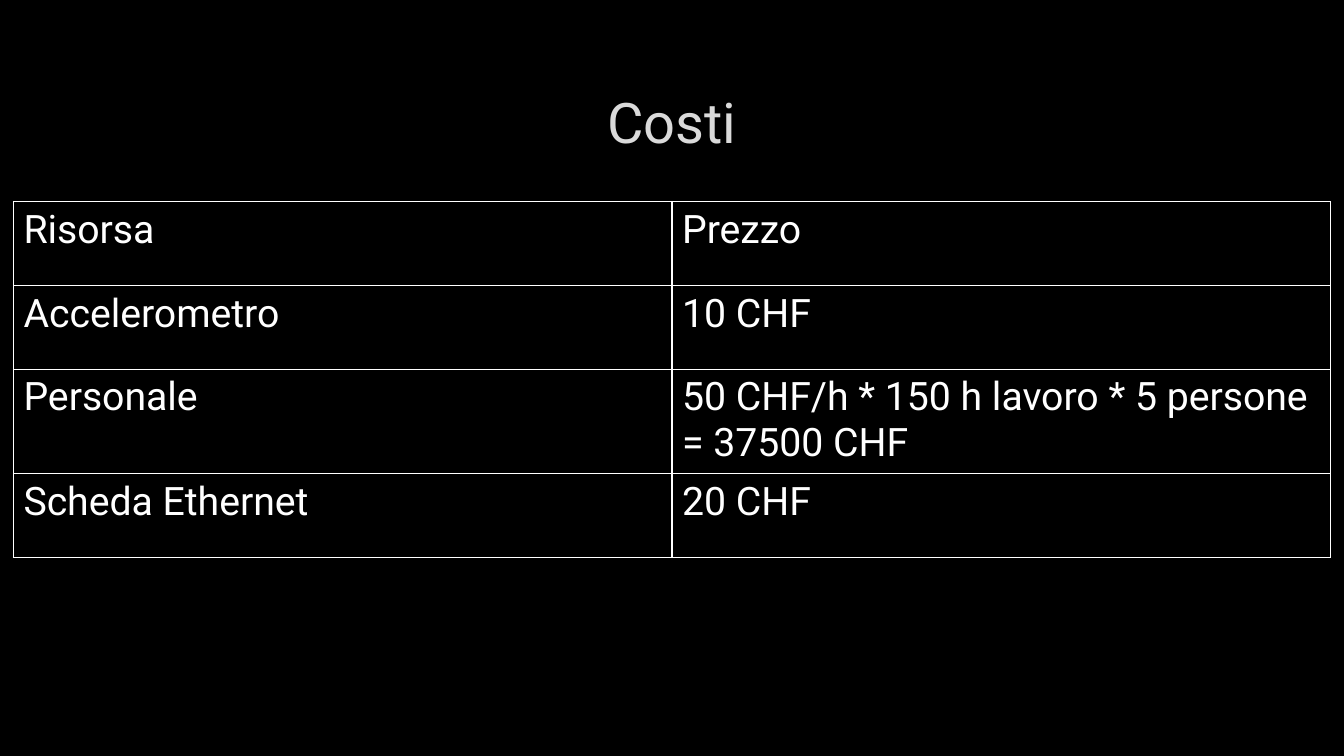
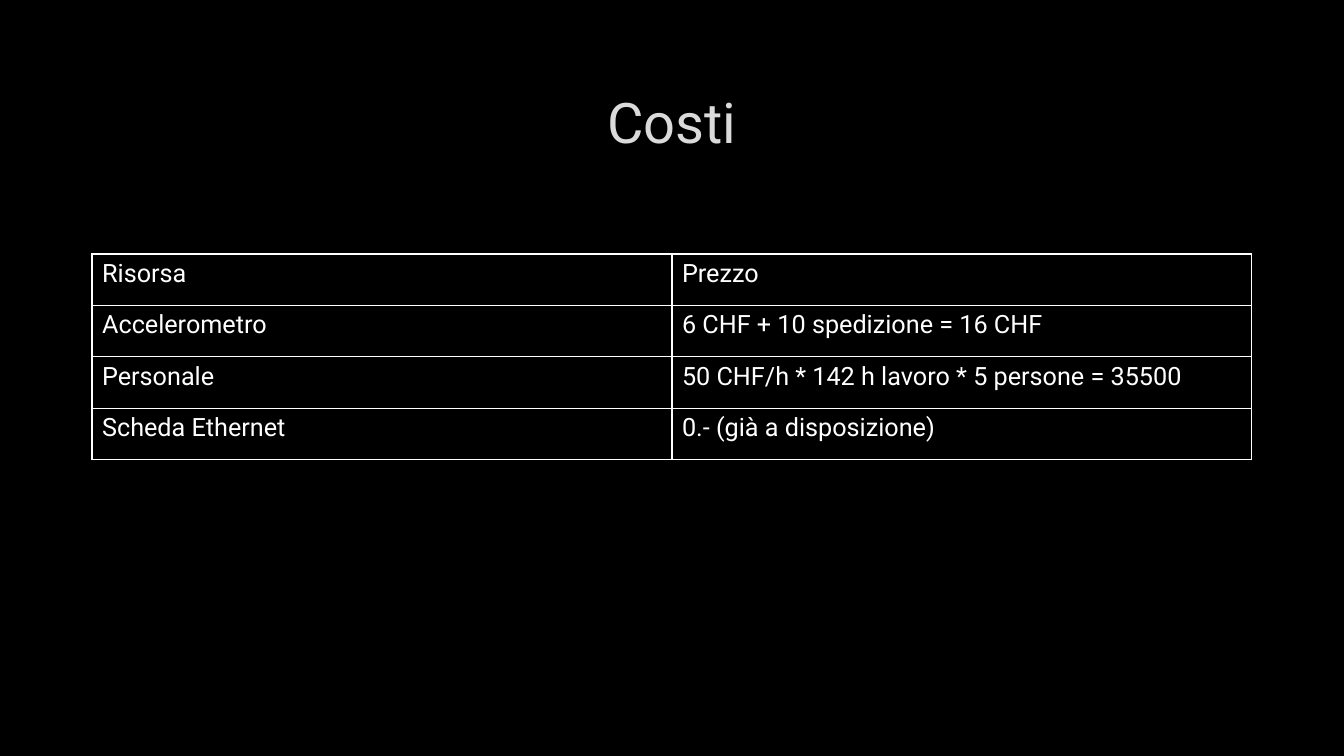
from dataclasses import dataclass

from lxml import etree
from pptx import Presentation, util as u
from pptx.dml.color import RGBColor
from pptx.enum import text
from pptx.oxml.ns import qn


@dataclass(frozen=True)
class Theme:
    font: str = "Roboto"
    back: str = "000000"
    title: str = "DADADA"
    ink: str = "FFFFFF"
    head: int = 40
    rule: int = 1


LOOK = Theme()
WIDE, HIGH = u.Inches(13.33), u.Inches(7.5)
HEAD = ("Risorsa", "Prezzo")
ITEMS = ("Accelerometro", "Personale", "Scheda Ethernet")

# Each plan: table width and top as slide shares, row height, type size, prices
PLANS = (
    (0.98, 0.267, 0.111, 28,
     ("10 CHF", "50 CHF/h * 150 h lavoro * 5 persone = 37500 CHF", "20 CHF")),
    (0.863, 0.336, 0.068, 18,
     ("6 CHF + 10 spedizione = 16 CHF",
      "50 CHF/h * 142 h lavoro * 5 persone = 35500",
      "0.- (già a disposizione)")),
)


def style(para, size, color):
    for run in para.runs:
        run.font.name = LOOK.font
        run.font.size = u.Pt(size)
        run.font.color.rgb = RGBColor.from_string(color)


def center(share):
    """Left edge and width of a centred box that takes a share of the slide."""
    width = int(WIDE * share)
    return (WIDE - width) // 2, width


def title(slide, words):
    left, width = center(0.85)
    box = slide.shapes.add_textbox(left, int(HIGH * 0.09), width, int(HIGH * 0.14))
    frame = box.text_frame
    frame.word_wrap = True
    frame.vertical_anchor = text.MSO_ANCHOR.MIDDLE
    frame.text = words
    para = frame.paragraphs[0]
    para.alignment = text.PP_ALIGN.CENTER
    style(para, LOOK.head, LOOK.title)


def border(cell):
    props = cell._tc.get_or_add_tcPr()
    for spot, side in enumerate(("lnL", "lnR", "lnT", "lnB")):
        line = etree.Element(qn(f"a:{side}"), w=str(u.Pt(LOOK.rule)))
        fill = etree.SubElement(line, qn("a:solidFill"))
        etree.SubElement(fill, qn("a:srgbClr"), val=LOOK.ink)
        props.insert(spot, line)


def grid(slide, rows, share, top, step, size):
    left, width = center(share)
    high = int(HIGH * step)
    table = slide.shapes.add_table(
        len(rows), len(rows[0]), left, int(HIGH * top), width, high * len(rows)).table
    for r, row in enumerate(rows):
        table.rows[r].height = high
        for c, words in enumerate(row):
            cell = table.cell(r, c)
            cell.text_frame.text = words
            style(cell.text_frame.paragraphs[0], size, LOOK.ink)
            cell.fill.background()
            border(cell)
    table.first_row = table.horz_banding = False


def main():
    deck = Presentation()
    deck.slide_width, deck.slide_height = WIDE, HIGH
    fill = deck.slide_master.background.fill
    fill.solid()
    fill.fore_color.rgb = RGBColor.from_string(LOOK.back)
    for share, top, step, size, costs in PLANS:
        slide = deck.slides.add_slide(deck.slide_layouts[6])
        title(slide, "Costi")
        grid(slide, [HEAD, *zip(ITEMS, costs)], share, top, step, size)
    deck.save("out.pptx")


if __name__ == "__main__":
    main()
